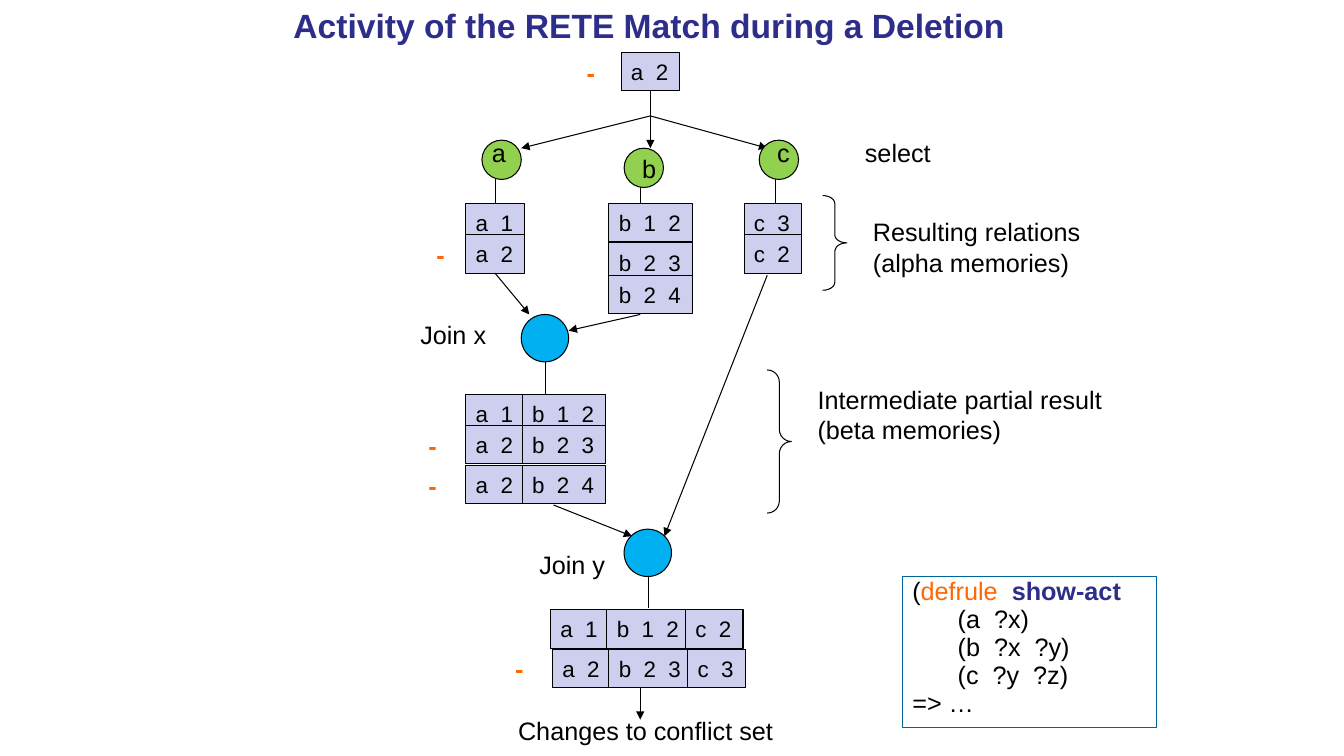
import pptx
import pptx.dml.color
import pptx.enum.shapes
import pptx.enum.text
import pptx.oxml.ns
import pptx.util
from lxml import etree

PX = 9144  # one hundredth of an inch in EMU
BLACK = pptx.dml.color.RGBColor(0x00, 0x00, 0x00)
NAVY = pptx.dml.color.RGBColor(0x2D, 0x2D, 0x8A)
ORANGE = pptx.dml.color.RGBColor(0xFF, 0x66, 0x00)
LAVENDER = pptx.dml.color.RGBColor(0xCE, 0xCE, 0xEF)
GREEN = pptx.dml.color.RGBColor(0x92, 0xD0, 0x50)
BLUE = pptx.dml.color.RGBColor(0x00, 0xB0, 0xF0)
TEAL = pptx.dml.color.RGBColor(0x00, 0x66, 0x99)
SHAPE = pptx.enum.shapes.MSO_SHAPE
LEFT = pptx.enum.text.PP_ALIGN.LEFT
qn = pptx.oxml.ns.qn

deck = pptx.Presentation()
deck.slide_width, deck.slide_height = 1333 * PX, 750 * PX
page = deck.slides.add_slide(deck.slide_layouts[5])


def add_outlined(kind, left, top, width, height, fill=None, line=BLACK):
    shape = page.shapes.add_shape(kind, left * PX, top * PX, width * PX, height * PX)
    shape.shadow.inherit = False
    if fill is None:
        shape.fill.background()
    else:
        shape.fill.solid()
        shape.fill.fore_color.rgb = fill
    shape.line.color.rgb = line
    shape.line.width = pptx.util.Pt(0.75)
    return shape


def write(shape, text, size=18, color=BLACK, bold=False):
    """Fill the shape with left-aligned text, one paragraph per line."""
    shape.text_frame.text = text
    for para in shape.text_frame.paragraphs:
        para.alignment = LEFT
        para.font.name = "Arial"
        para.font.size = pptx.util.Pt(size)
        para.font.color.rgb = color
        para.font.bold = bold


title = page.shapes.title
title.left, title.top, title.width, title.height = 281 * PX, 0, 866 * PX, 50 * PX
write(title, "Activity of the RETE Match during a Deletion", 24, NAVY, True)
title.text_frame.vertical_anchor = pptx.enum.text.MSO_ANCHOR.TOP

# Memories: each row holds one fact per column
COLUMN = {"a": (0, 58), "b": (56, 83), "c": (134, 57)}  # offset, width
memory_rows = [
    (616, 52, ["a 2"]),
    (462, 202, ["a 1"]), (462, 233, ["a 2"]),
    (548, 202, ["b 1 2"]), (548, 241, ["b 2 3"]), (548, 273, ["b 2 4"]),
    (604, 202, ["c 3"]), (604, 233, ["c 2"]),
    (462, 391, ["a 1", "b 1 2"]),
    (462, 422, ["a 2", "b 2 3"]),
    (462, 462, ["a 2", "b 2 4"]),
    (546, 605, ["a 1", "b 1 2", "c 2"]),
    (548, 644, ["a 2", "b 2 3", "c 3"]),
]
cells = {}
for left, top, facts in memory_rows:
    for fact in facts:
        offset, width = COLUMN[fact[0]]
        cell = add_outlined(SHAPE.RECTANGLE, left + offset, top, width, 38, LAVENDER)
        write(cell, fact, 16)
        cell.text_frame.word_wrap = False
        for span in cell.text_frame.paragraphs[0].runs:
            span.font._element.set("spc", "220")
        cells[left + offset, top] = cell

# Links: start, end, arrowhead, cell joined at its bottom, cell joined at its top
links = [
    (645, 90, 645, 115, False, (616, 52), None),
    (645, 115, 517, 147, True, None, None),
    (645, 115, 645, 147, True, None, None),
    (645, 115, 761, 147, True, None, None),
    (491, 178, 491, 202, False, None, (462, 202)),
    (635, 186, 635, 202, False, None, None),
    (769, 178, 769, 202, False, None, None),
    (491, 271, 525, 312, True, (462, 233), None),
    (635, 312, 564, 328, True, None, None),
    (541, 359, 541, 391, False, None, None),
    (761, 273, 659, 532, True, None, None),
    (549, 501, 627, 532, True, None, None),
    (643, 572, 643, 603, False, None, None),
    (635, 682, 635, 714, True, None, None),
]
for x1, y1, x2, y2, arrow, source, target in links:
    link = page.shapes.add_connector(
        pptx.enum.shapes.MSO_CONNECTOR.STRAIGHT, x1 * PX, y1 * PX, x2 * PX, y2 * PX)
    if source:
        link.begin_connect(cells[source], 2)
    if target:
        link.end_connect(cells[target], 0)
    link.line.color.rgb = BLACK
    link.line.width = pptx.util.Pt(0.75)
    if arrow:
        etree.SubElement(link.line._get_or_add_ln(), qn("a:tailEnd"), type="triangle")
    etree.SubElement(link._element.spPr, qn("a:effectLst"))

for left, top, size, fill in [
    (478, 139, 39, GREEN), (619, 147, 39, GREEN), (753, 139, 39, GREEN),
    (517, 312, 47, BLUE), (619, 525, 47, BLUE),
]:
    add_outlined(SHAPE.OVAL, left, top, size, size, fill)

for left, top, height, curve in [(816, 194, 94, 0.33), (761, 367, 142, 0.5)]:
    brace = add_outlined(SHAPE.RIGHT_BRACE, left, top, 24, height)
    brace.adjustments[0] = curve
    brace.adjustments[1] = 0.5

labels = [
    (478, 131, 24, 40, "a"), (627, 147, 24, 40, "b"), (761, 131, 24, 40, "c"),
    (848, 131, 85, 40, "select"),
    (856, 210, 226, 70, "Resulting relations\n(alpha memories)"),
    (801, 376, 302, 70, "Intermediate partial result\n(beta memories)"),
    (407, 312, 85, 40, "Join x"), (525, 540, 85, 40, "Join y"),
    (504, 705, 273, 40, "Changes to conflict set"),
]
deletion_marks = [(572, 52), (423, 233), (415, 422), (415, 462), (501, 643)]
labels += [(left, top, 28, 40, "-") for left, top in deletion_marks]
for left, top, width, height, text in labels:
    box = page.shapes.add_textbox(left * PX, top * PX, width * PX, height * PX)
    deleted = text == "-"
    write(box, text, color=ORANGE if deleted else BLACK, bold=deleted)
    box.text_frame.word_wrap = False

rule = add_outlined(SHAPE.RECTANGLE, 895, 572, 252, 150, line=TEAL)
write(rule, "\n(a  ?x)\n(b  ?x  ?y)\n(c  ?y  ?z)\n=> …")
rule.text_frame.vertical_anchor = pptx.enum.text.MSO_ANCHOR.TOP
rule_lines = rule.text_frame.paragraphs
for text, color, bold in [
    ("(", BLACK, False), ("defrule  ", ORANGE, False), ("show-act", NAVY, True),
]:
    span = rule_lines[0].add_run()
    span.text = text
    span.font.color.rgb = color
    span.font.bold = bold
for number, para in enumerate(rule_lines):
    para.line_spacing = 0.8
    if number > 0:
        para.space_before = pptx.util.Pt(2.7)
    if para.text.startswith("(") and number > 0:
        para._p.get_or_add_pPr().set("marL", str(45 * PX))

deck.save("out.pptx")
